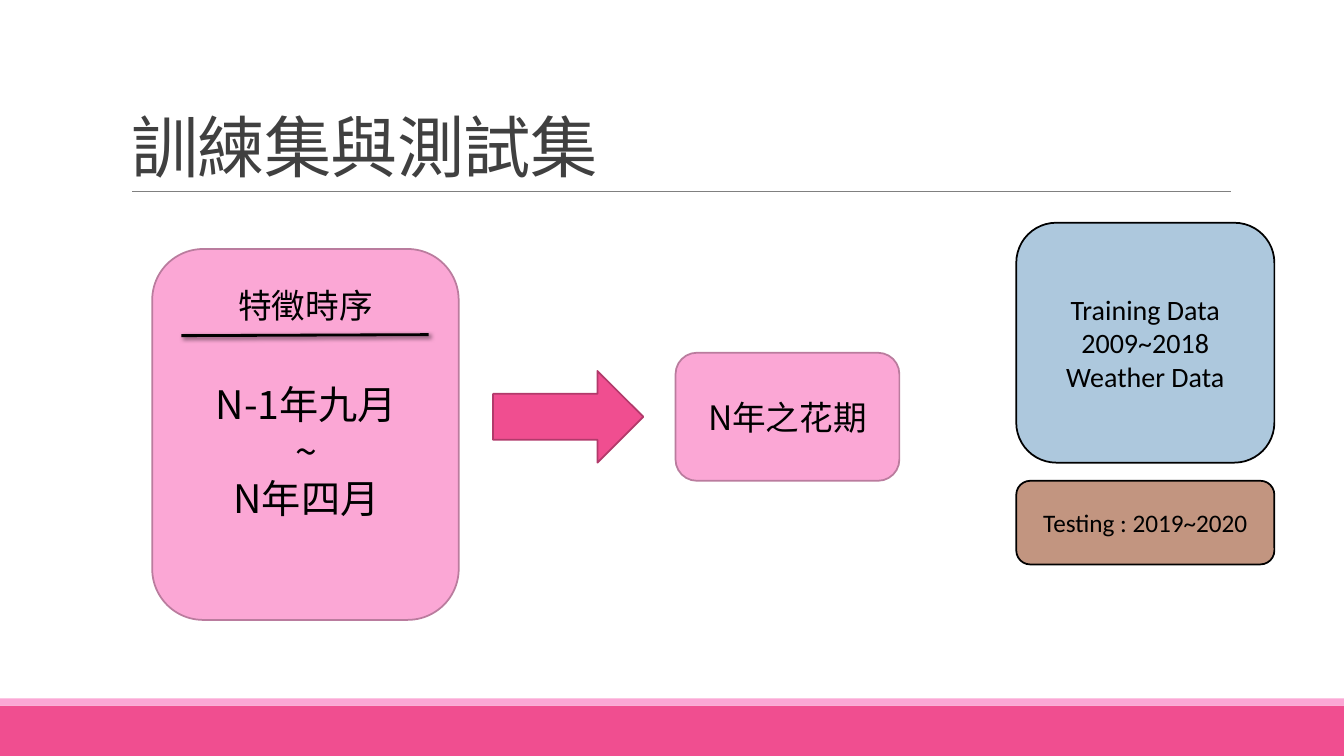
from pptx import Presentation, util as u
from pptx.dml.color import RGBColor
from pptx.enum import shapes, text
from pptx.oxml import parse_xml
from pptx.oxml.ns import nsdecls, qn

PX = 9144
CJK = "Noto Sans CJK SC"
LATIN = "Calibri"
BLACK = RGBColor(0x00, 0x00, 0x00)
TITLE_GRAY = RGBColor(0x40, 0x40, 0x40)
RULE_GRAY = RGBColor(0x80, 0x80, 0x80)
PINK = RGBColor(0xFB, 0xA7, 0xD5)
PINK_EDGE = RGBColor(0xBA, 0x7C, 0x9E)
ROSE = RGBColor(0xF0, 0x4E, 0x90)
ROSE_EDGE = RGBColor(0xB2, 0x3A, 0x6B)
BLUE = RGBColor(0xAD, 0xC8, 0xDD)
BROWN = RGBColor(0xC2, 0x95, 0x80)
KIND = shapes.MSO_SHAPE

LINE_SHADOW = (
    f'<a:effectLst {nsdecls("a")}>'
    '<a:outerShdw blurRad="38100" dist="25400" dir="2700000" rotWithShape="0">'
    '<a:srgbClr val="000000"><a:alpha val="60000"/></a:srgbClr>'
    '</a:outerShdw></a:effectLst>'
)
NO_EFFECT = f'<a:effectLst {nsdecls("a")}/>'


def px(*lengths):
    return [u.Emu(length * PX) for length in lengths]


def write(frame, content, size, font=CJK, color=BLACK, align=text.PP_ALIGN.CENTER,
          anchor=text.MSO_ANCHOR.MIDDLE, leading=None, tracking=None):
    frame.word_wrap = True
    frame.auto_size = text.MSO_AUTO_SIZE.NONE
    frame.vertical_anchor = anchor
    for index, line in enumerate(content.split("\n")):
        paragraph = frame.paragraphs[0] if index == 0 else frame.add_paragraph()
        paragraph.alignment = align
        paragraph.line_spacing = leading
        run = paragraph.add_run()
        run.text = line
        run.font.size = u.Pt(size)
        run.font.name = font
        run.font.color.rgb = color
        properties = run.font._element
        properties.find(qn("a:latin")).addnext(
            parse_xml(f'<a:ea {nsdecls("a")} typeface="{font}"/>'))
        if tracking is not None:
            properties.set("spc", str(int(tracking * 100)))


def add_block(parent, kind, box, fill, edge=None):
    block = parent.add_shape(kind, *px(*box))
    block.shadow.inherit = False
    block.fill.solid()
    block.fill.fore_color.rgb = fill
    if edge is None:
        block.line.fill.background()
    else:
        block.line.color.rgb = edge
        block.line.width = u.Pt(1.25)
    return block


def add_rule(parent, ends, color, width, effect=NO_EFFECT):
    rule = parent.add_connector(shapes.MSO_CONNECTOR.STRAIGHT, *px(*ends))
    rule.line.color.rgb = color
    rule.line.width = u.Pt(width)
    rule._element.spPr.append(parse_xml(effect))


def add_label(parent, box, content, size):
    label = parent.add_textbox(*px(*box))
    write(label.text_frame, content, size, anchor=text.MSO_ANCHOR.TOP)


def add_title(slide, box, content):
    heading = slide.shapes.title
    heading.left, heading.top, heading.width, heading.height = px(*box)
    write(heading.text_frame, content, 48, color=TITLE_GRAY, align=text.PP_ALIGN.LEFT,
          anchor=text.MSO_ANCHOR.BOTTOM, leading=0.85, tracking=-0.5)


def add_feature_card(slide):
    card = slide.shapes.add_group_shape().shapes
    add_block(card, KIND.ROUNDED_RECTANGLE, (151, 247, 304, 368), PINK, PINK_EDGE)
    add_rule(card, (180, 333, 425, 332), BLACK, 2, LINE_SHADOW)
    add_label(card, (205, 278, 196, 50), "特徵時序", 24)
    add_label(card, (198, 372, 212, 151), "N-1年九月\n~\nN年四月", 28)


def main():
    deck = Presentation()
    deck.slide_width, deck.slide_height = px(1333, 750)
    slide = deck.slides.add_slide(deck.slide_layouts[5])

    add_block(slide.shapes, KIND.RECTANGLE, (0, 700, 1333, 50), ROSE)
    add_block(slide.shapes, KIND.RECTANGLE, (0, 693, 1333, 7), PINK)
    add_rule(slide.shapes, (131, 190, 1221, 190), RULE_GRAY, 0.5)
    add_title(slide, (120, 31, 1100, 159), "訓練集與測試集")

    add_feature_card(slide)
    add_block(slide.shapes, KIND.RIGHT_ARROW, (489, 368, 149, 91), ROSE, ROSE_EDGE)

    cards = [
        ((670, 350, 222, 127), PINK, PINK_EDGE, "N年之花期", 24, CJK),
        ((1008, 221, 256, 238), BLUE, BLACK,
         "Training Data\n2009~2018\nWeather Data", 20, LATIN),
        ((1008, 477, 256, 83), BROWN, BLACK, "Testing : 2019~2020", 18, LATIN),
    ]
    for box, fill, edge, content, size, font in cards:
        card = add_block(slide.shapes, KIND.ROUNDED_RECTANGLE, box, fill, edge)
        write(card.text_frame, content, size, font=font)

    deck.save("out.pptx")


if __name__ == "__main__":
    main()
